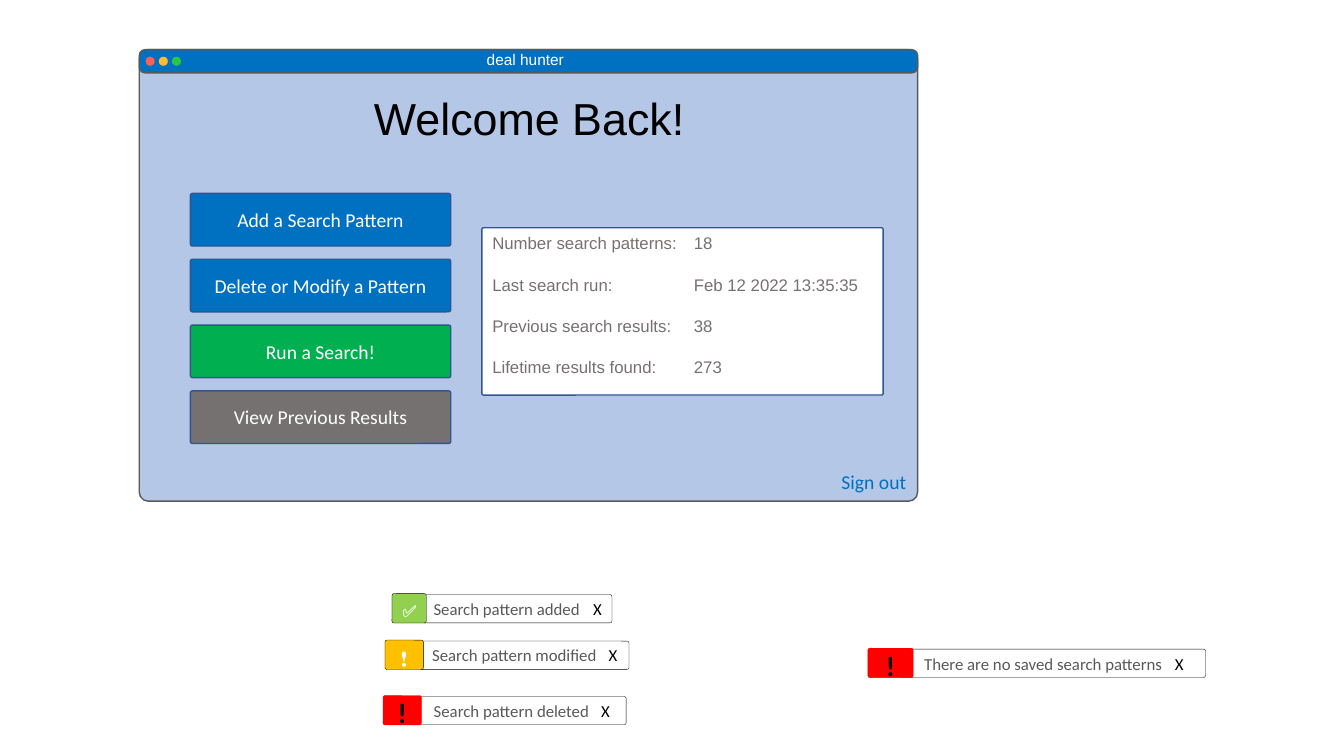
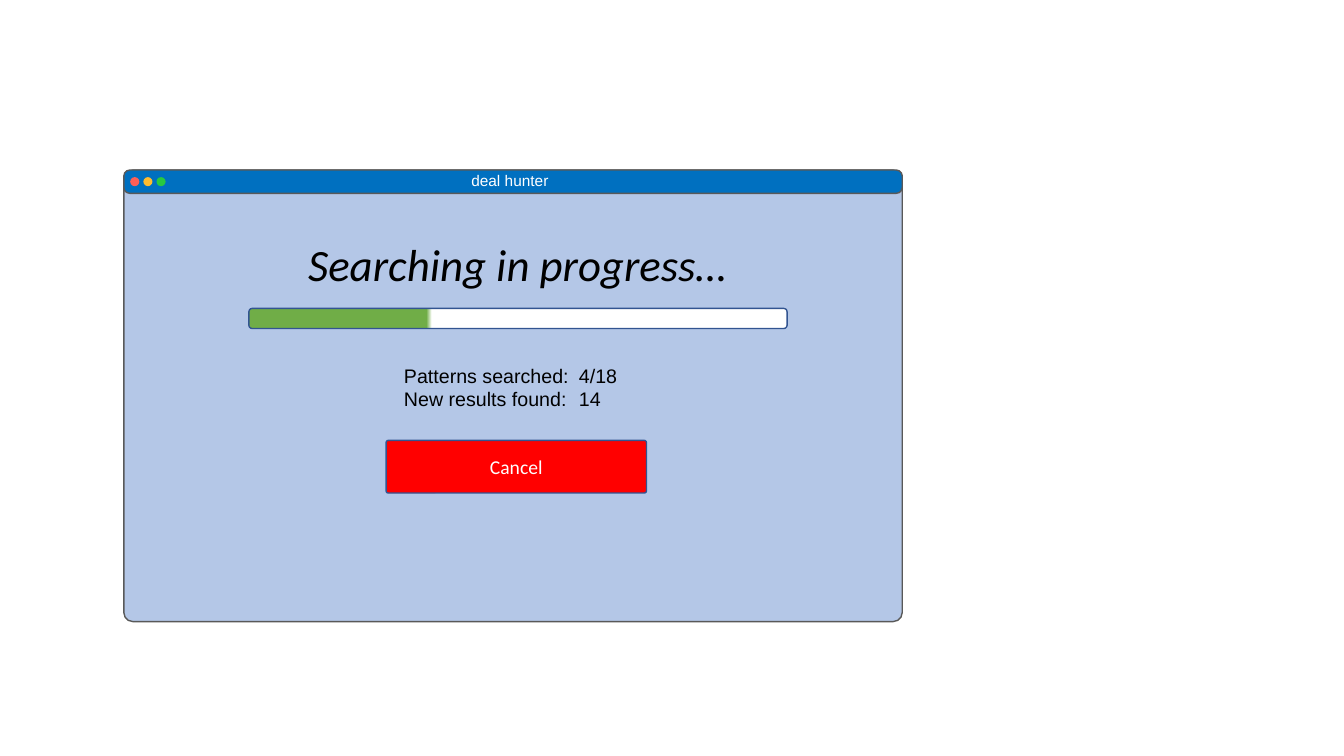
from pptx import Presentation
from pptx.dml.color import RGBColor
from pptx.enum.shapes import MSO_SHAPE
from pptx.enum.text import MSO_ANCHOR, PP_ALIGN
from pptx.util import Pt
from lxml.etree import SubElement
from pptx.oxml.ns import qn

COLORS = {
    "white": "FFFFFF", "black": "000000", "body": "B4C7E7", "blue": "0070C0",
    "edge": "325491", "dark": "595959", "gray": "767171", "green": "00B050",
    "lime": "92D050", "amber": "FFC000", "red": "FF0000", "leaf": "70AD47",
    "close": "FF5F57", "hide": "FFBC2E", "zoom": "28C840",
}
WIN_W, WIN_H, BAR_H = 556, 322.5, 16.6
INSET = (7.2, 3.6, 7.2, 3.6)


def rgb(name):
    return RGBColor.from_string(COLORS[name])


def add_tab(para, pos, side):
    tabs = SubElement(para._p.get_or_add_pPr(), qn("a:tabLst"))
    SubElement(tabs, qn("a:tab"), pos=str(int(Pt(pos))), algn=side)


def write(shape, *lines, size=14, font="Calibri", color="white", bold=False,
          italic=False, align=PP_ALIGN.CENTER, anchor=MSO_ANCHOR.MIDDLE,
          inset=INSET, gap=0, tab=None, wrap=True):
    """Fill a shape; a line is a string or a list of (text, colour) runs."""
    frame = shape.text_frame
    frame.word_wrap = wrap
    frame.vertical_anchor = anchor
    (frame.margin_left, frame.margin_top,
     frame.margin_right, frame.margin_bottom) = map(Pt, inset)
    for i, line in enumerate(lines):
        para = frame.add_paragraph() if i else frame.paragraphs[0]
        para.alignment = align
        para.space_after = Pt(gap)
        if tab:
            add_tab(para, *tab)
        for text, tone in [(line, color)] if isinstance(line, str) else line:
            run = para.add_run()
            run.text = text
            run.font.size = Pt(size)
            run.font.name = font
            run.font.bold = bold
            run.font.italic = italic
            run.font.color.rgb = rgb(tone)


def box(shapes, x, y, w, h, fill, line=None, weight=1, adj=0.04,
        kind=MSO_SHAPE.ROUNDED_RECTANGLE):
    shape = shapes.add_shape(kind, Pt(x), Pt(y), Pt(w), Pt(h))
    shape.shadow.inherit = False
    shape.fill.solid()
    shape.fill.fore_color.rgb = rgb(fill)
    if line:
        shape.line.color.rgb = rgb(line)
        shape.line.width = Pt(weight)
    else:
        shape.line.fill.background()
    if kind == MSO_SHAPE.ROUNDED_RECTANGLE:
        shape.adjustments[0] = adj
    return shape


def label(shapes, x, y, w, h, *lines, **form):
    form = {"align": PP_ALIGN.LEFT, "anchor": MSO_ANCHOR.TOP,
            "wrap": False, "color": "black"} | form
    write(shapes.add_textbox(Pt(x), Pt(y), Pt(w), Pt(h)), *lines, **form)


def window(shapes, x, y):
    box(shapes, x, y, WIN_W, WIN_H, "body", "dark", adj=0.02)
    box(shapes, x, y, WIN_W, BAR_H, "blue", "dark", adj=0.25)
    for i, tone in enumerate(("close", "hide", "zoom")):
        box(shapes, x + 4.5 + 9.4 * i, y + 5, 6.5, 6.5, tone,
            kind=MSO_SHAPE.OVAL)
    label(shapes, x + 239, y - 3, 73.5, 21, "deal hunter", size=11,
          font="Arial", color="white", align=PP_ALIGN.CENTER)


def button(shapes, x, y, text, fill):
    write(box(shapes, x, y, 186, 37.6, fill, "edge"), text)


def toast(slide, y, icon, body, text, pad, mark, fill, **form):
    """Message with a coloured icon; icon and body are (left, width)."""
    shapes = slide.shapes.add_group_shape().shapes
    left, wide = body
    card = box(shapes, left, y + 0.7, wide, 20.2, "white", "black", 0.25, 0.07)
    write(card, [(text + "\t", "dark"), ("X", "black")], size=12,
          align=PP_ALIGN.LEFT, inset=(pad, 3.6, 0, 3.6),
          tab=(wide - 2 * pad, "r"))
    left, wide = icon
    edge = "red" if fill == "red" else "black"
    sign = box(shapes, left, y, wide, 21, fill, edge, 0.25, 0.07)
    write(sign, mark, inset=(7.2, 7.2, 7.2, 3.6), **form)


def home(slide):
    shapes = slide.shapes
    window(shapes, 99.5, 35.5)
    label(shapes, 260, 61, 238.5, 46, "Welcome Back!", size=32, font="Arial")
    acts = (("Add a Search Pattern", "blue"),
            ("Delete or Modify a Pattern", "blue"),
            ("Run a Search!", "green"), ("View Previous Results", "gray"))
    for i, (text, fill) in enumerate(acts):
        button(shapes, 136, 138.2 + 47 * i, text, fill)
    panel = box(shapes, 344.2, 162.7, 286.6, 119.5, "white", "edge", adj=0.01)
    write(panel, "Number search patterns:\t18",
          "Last search run:\tFeb 12 2022 13:35:35",
          "Previous search results:\t38", "Lifetime results found:\t273",
          size=12, font="Arial", color="gray", align=PP_ALIGN.LEFT,
          anchor=MSO_ANCHOR.TOP, gap=15, tab=(144, "l"))
    label(shapes, 594, 332, 61, 24.5, "Sign out", color="blue")

    alert = {"mark": "!", "fill": "red", "size": 20, "bold": True,
             "color": "black"}
    toast(slide, 424, (280, 24.5), (301.7, 135.4), "Search pattern added",
          7.6, "✅", "lime", size=12)
    toast(slide, 457.2, (275, 27.4), (299.5, 149.8), "Search pattern modified",
          8.8, "❗️", "amber", size=12)
    toast(slide, 496.8, (273.6, 27.4), (297.4, 149.8),
          "Search pattern deleted", 12, **alert)
    toast(slide, 463, (619.9, 32.4), (643.7, 217.4),
          "There are no saved search patterns", 16, **alert)


def search(slide):
    shapes = slide.shapes
    window(shapes, 88.5, 121.5)
    button(shapes, 275.8, 314.6, "Cancel", "red")
    label(shapes, 213, 165.6, 317, 46, "Searching in progress…", size=32,
          italic=True)
    meter = box(shapes, 177.8, 220.3, 384.5, 14.4, "white", "edge", adj=0.17)
    meter.fill.gradient()
    meter.fill.gradient_angle = 0
    stops = ((0.33, "leaf"), (0.34, "white"))
    for stop, (pos, tone) in zip(meter.fill.gradient_stops, stops):
        stop.position = pos
        stop.color.rgb = rgb(tone)
    label(shapes, 281.5, 256.3, 169, 41, "Patterns searched:\t4/18",
          "New results found:\t14", font="Arial", tab=(125, "l"))


def main():
    deck = Presentation()
    deck.slide_width, deck.slide_height = Pt(960), Pt(540)
    for draw in (home, search):
        draw(deck.slides.add_slide(deck.slide_layouts[6]))
    deck.save("out.pptx")


if __name__ == "__main__":
    main()
